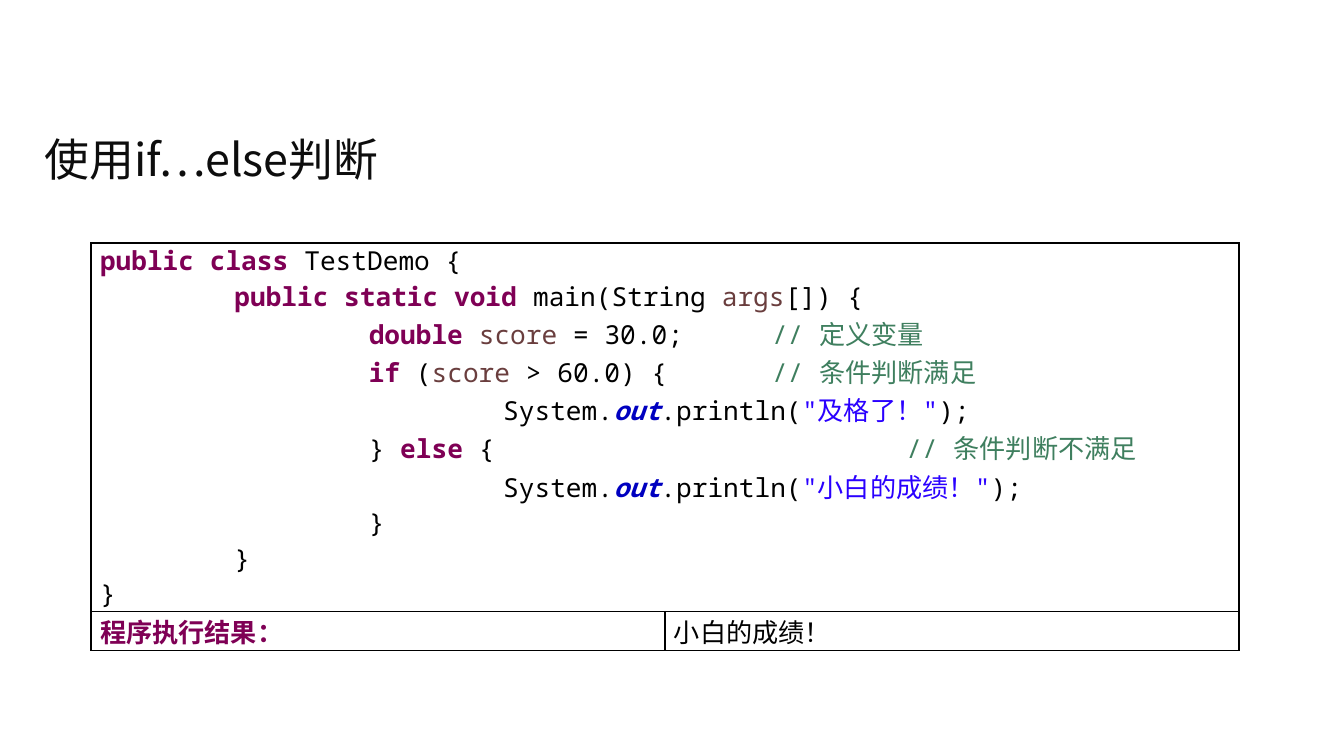
from lxml.etree import SubElement
from pptx import Presentation
from pptx.dml.color import RGBColor
from pptx.enum.text import MSO_ANCHOR, PP_ALIGN
from pptx.oxml.ns import qn
from pptx.util import Inches, Pt

PX = 914400 / 134.4
SANS, MONO = "Noto Sans CJK SC", "Noto Sans Mono"
COLORS = {
    "title": "0D0D0D",
    "plain": "000000",
    "keyword": "7F0055",
    "variable": "6A3E3E",
    "comment": "3F7F5F",
    "field": "0000C0",
    "string": "2A00FF",
    "border": "000000",
}
BOLD, ITALIC = {"keyword", "field"}, {"field"}


def px(n):
    """Turn pixels into EMU."""
    return round(n * PX)


class Deck:
    """Holds the style and the current slide."""

    def __init__(self, width, height):
        """Start a presentation of the given size."""
        self.prs = Presentation()
        self.prs.slide_width, self.prs.slide_height = px(width), px(height)
        self.s = self.prs.slides.add_slide(self.prs.slide_layouts[5])

    def style(self, r, kind, size, font):
        """Format one run."""
        r.font.size, r.font.name = Pt(size), font
        r.font.bold, r.font.italic = kind in BOLD, kind in ITALIC
        r.font.color.rgb = RGBColor.from_string(COLORS[kind])
        SubElement(r.font._element, qn("a:ea")).set("typeface", SANS)

    def title(self, text, x, y, w, h):
        """Place and format the title."""
        sp = self.s.shapes.title
        sp.left, sp.top, sp.width, sp.height = map(px, (x, y, w, h))
        tf = sp.text_frame
        tf.text = text
        tf.vertical_anchor = MSO_ANCHOR.MIDDLE
        p = tf.paragraphs[0]
        p.alignment = PP_ALIGN.LEFT
        self.style(p.runs[0], "title", 24, SANS)

    def table(self, x, y, cols, rows):
        """Add a plain bordered table."""
        size = (x, y, sum(cols), sum(rows))
        table = self.s.shapes.add_table(len(rows), len(cols), *map(px, size)).table
        table.first_row = table.horz_banding = False
        for col, w in zip(table.columns, cols):
            col.width = px(w)
        for row, h in zip(table.rows, rows):
            row.height = px(h)
        for cell in table.iter_cells():
            self.border(cell)
            cell.fill.background()
            cell.margin_left = cell.margin_right = px(9)
            cell.margin_top = cell.margin_bottom = 0
        return table

    def border(self, cell):
        """Draw the four edges of a cell."""
        tcPr = cell._tc.get_or_add_tcPr()
        for side in "LRTB":
            ln = SubElement(tcPr, qn(f"a:ln{side}"), w=str(Pt(1)))
            fill = SubElement(ln, qn("a:solidFill"))
            SubElement(fill, qn("a:srgbClr"), val=COLORS["border"])

    def tabs(self, p, count=8):
        """Set a tab stop at every inch."""
        stops = SubElement(p._p.get_or_add_pPr(), qn("a:tabLst"))
        for n in range(1, count + 1):
            SubElement(stops, qn("a:tab"), pos=str(Inches(n)), algn="l")

    def code(self, cell, lines):
        """Write lines of (text, kind) pieces into a cell."""
        tf = cell.text_frame
        for i, line in enumerate(lines):
            p = tf.add_paragraph() if i else tf.paragraphs[0]
            self.tabs(p)
            for text, kind in line:
                r = p.add_run()
                r.text = text
                self.style(r, kind, 14, MONO)


def println(message):
    """Give the pieces of a print line."""
    return [("\t\t\tSystem.", "plain"), ("out", "field"), (".println(", "plain"),
            (f'"{message}"', "string"), (");", "plain")]


RESULT = "小白的成绩！"
PROGRAM = [
    [("public class", "keyword"), (" TestDemo {", "plain")],
    [("\t", "plain"), ("public static void", "keyword"), (" main(String ", "plain"),
     ("args", "variable"), ("[]) {", "plain")],
    [("\t\t", "plain"), ("double ", "keyword"), ("score", "variable"),
     (" = 30.0; \t", "plain"), ("// 定义变量", "comment")],
    [("\t\t", "plain"), ("if", "keyword"), (" (", "plain"), ("score", "variable"),
     (" > 60.0) { \t", "plain"), ("// 条件判断满足", "comment")],
    println("及格了！"),
    [("\t\t} ", "plain"), ("else", "keyword"), (" { \t\t\t", "plain"),
     ("// 条件判断不满足", "comment")],
    println(RESULT),
    *[[("\t" * depth + "}", "plain")] for depth in (2, 1, 0)],
]

deck = Deck(1344, 756)
deck.title("使用if…else判断", 31, 116, 1281, 86)
table = deck.table(91, 243, [574, 574], [368, 39])
table.cell(0, 0).merge(table.cell(0, 1))
deck.code(table.cell(0, 0), PROGRAM)
deck.code(table.cell(1, 0), [[("程序执行结果：", "keyword")]])
deck.code(table.cell(1, 1), [[(RESULT, "plain")]])
deck.prs.save("out.pptx")
